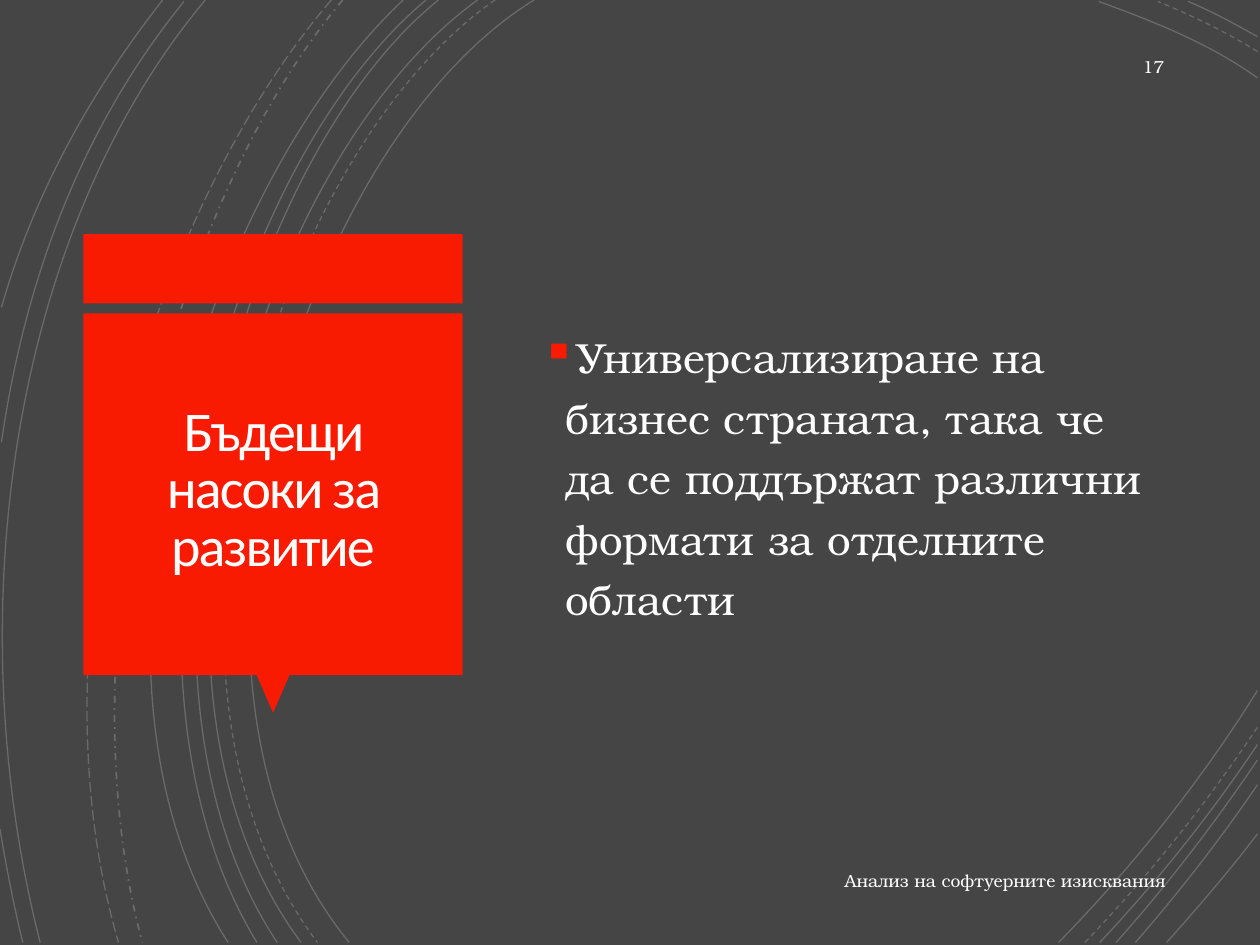
from dataclasses import dataclass

from lxml import etree
from pptx import Presentation
from pptx.dml.color import RGBColor
from pptx.enum.dml import MSO_LINE
from pptx.enum.shapes import MSO_SHAPE
from pptx.enum.text import MSO_ANCHOR, PP_ALIGN
from pptx.oxml.ns import qn
from pptx.util import Cm, Pt

SOLID, DASH, LONG_DASH, DASH_DOT = (
    MSO_LINE.SOLID, MSO_LINE.DASH, MSO_LINE.LONG_DASH, MSO_LINE.DASH_DOT)
RECT, TRIANGLE = MSO_SHAPE.RECTANGLE, MSO_SHAPE.ISOSCELES_TRIANGLE
LEFT, CENTER, RIGHT = PP_ALIGN.LEFT, PP_ALIGN.CENTER, PP_ALIGN.RIGHT
MIDDLE = MSO_ANCHOR.MIDDLE


@dataclass(frozen=True)
class Theme:
    background: RGBColor = RGBColor(0x45, 0x45, 0x45)
    accent: RGBColor = RGBColor(0xF8, 0x1B, 0x02)
    text: RGBColor = RGBColor(0xFF, 0xFF, 0xFF)
    title: RGBColor = RGBColor(0xFF, 0xFE, 0xFF)
    title_font: str = "Calibri"
    body_font: str = "TeX Gyre Bonum"
    title_size: int = 32
    body_size: int = 24
    small_size: int = 10
    arc_alpha: int = 20000


THEME = Theme()
WIDTH, HEIGHT = 25.4, 19.05

# Each arc: start, two control points, end (cm), then dash style
EDGE, BASE = 25.35, 19
LONG_ARCS = [((x0, 0, ax, ay, bx, by, x1, BASE), dash)
             for x0, ax, ay, bx, by, x1, dash in [
    (10.77, 5.99, 2.92, 2.72, 13.72, 7.04, SOLID),
    (9.98, 5.41, 3.18, 2.34, 13.64, 6.4, DASH),
    (9.63, 5.13, 3.23, 2.08, 13.64, 6.07, SOLID),
    (8.84, 4.65, 3.38, 2.08, 13.74, 5.59, SOLID),
    (8.59, 4.39, 3.51, 1.85, 13.54, 5.18, SOLID),
    (8.13, 4.14, 3.73, 1.02, 13.44, 4.6, SOLID),
    (6.91, 3.35, 4.22, 1.24, 12.93, 2.87, DASH_DOT),
    (6.68, 3, 4.29, 0.53, 12.67, 2.39, LONG_DASH),
    (4.14, 0.2, 4.7, -0.86, 12.45, 0.81, SOLID)]]
TOP_RIGHT_ARCS = [((EDGE, *points, 0.03), dash) for *points, dash in [
    (1.57, 24.36, 0.86, 23.19, 0.41, 22.15, SOLID),
    (1.04, 24.71, 0.64, 24, 0.3, 23.34, DASH),
    (0.74, 24.89, 0.48, 24.43, 0.23, 23.95, SOLID)]]
BOTTOM_RIGHT_ARCS = [((x0, BASE, ax, ay, bx, by, EDGE, y1), dash)
                     for x0, ax, ay, bx, by, y1, dash in [
    (21.34, 22.78, 17.53, 24.18, 15.8, 13.92, SOLID),
    (21.87, 23.09, 17.73, 24.28, 16.26, 14.66, DASH),
    (22.17, 23.29, 17.81, 24.38, 16.46, 15.01, SOLID),
    (22.5, 23.5, 17.88, 24.46, 16.64, 15.32, SOLID),
    (22.89, 23.75, 18.01, 24.59, 16.94, 15.82, SOLID),
    (23.52, 24.13, 18.31, 24.77, 17.58, 16.81, SOLID)]]
LEFT_ARCS = [
    ((3.71, 0.03, 1.75, 2.44, 0.53, 5.44, 0.03, 8.92), SOLID),
    ((0, 16.71, 0.13, 17.5, 0.28, 18.26, 0.46, BASE), SOLID),
    ((3.28, 0, 1.91, 1.75, 0.71, 3.81, 0.03, 6.2), SOLID)]


def add_arc(group, left, top, points, dash):
    xy = [(Cm(left + x), Cm(top + y)) for x, y in zip(points[::2], points[1::2])]
    builder = group.shapes.build_freeform(*xy[0])
    builder.add_line_segments(xy[1:], close=False)
    sp = builder.convert_to_shape()
    # Turn the three segments into one cubic curve
    segments = list(sp._element.iter(qn("a:lnTo")))
    outline = segments[0].getparent()
    curve = etree.SubElement(outline, qn("a:cubicBezTo"))
    for segment in segments:
        curve.append(segment[0])
        outline.remove(segment)
    sp.shadow.inherit = False
    sp.fill.background()
    sp.line.color.rgb = THEME.text
    sp.line.width = Pt(1 if dash == DASH_DOT else 0.75)
    sp.line.dash_style = dash
    color = next(sp.line._ln.iter(qn("a:srgbClr")))
    etree.SubElement(color, qn("a:alpha"), val=str(THEME.arc_alpha))


def add_arcs(slide, left, top):
    group = slide.shapes.add_group_shape()
    for points, dash in (LONG_ARCS + TOP_RIGHT_ARCS
                         + BOTTOM_RIGHT_ARCS + LEFT_ARCS):
        add_arc(group, left, top, points, dash)


def add_text(slide, box, text, font, para, margin=None):
    tf = slide.shapes.add_textbox(*map(Cm, box)).text_frame
    tf.word_wrap = True
    tf.vertical_anchor = MIDDLE
    if margin is not None:
        for side in ("left", "right", "top", "bottom"):
            setattr(tf, f"margin_{side}", Cm(margin))
    p = tf.paragraphs[0]
    for name, value in para.items():
        setattr(p, name, value)
    r = p.add_run()
    r.text = text
    color = font.pop("color", THEME.text)
    for name, value in font.items():
        setattr(r.font, name, value)
    r.font.color.rgb = color
    return p, r


def add_callout(slide, left, top, width, height, title):
    bar, gap, tip_w, tip_h = 1.4, 0.2, 0.66, 0.76
    panel_top = top + bar + gap
    panel = height - bar - gap - tip_h
    # Bar, pointer and panel
    group = slide.shapes.add_group_shape()
    for kind, x, y, w, h, turn in [
            (RECT, left, top, width, bar, 0),
            (TRIANGLE, left + (width - tip_w) / 2, panel_top + panel,
             tip_w, tip_h, 180),
            (RECT, left, panel_top, width, panel, 0)]:
        sp = group.shapes.add_shape(kind, Cm(x), Cm(y), Cm(w), Cm(h))
        sp.rotation = turn
        sp.shadow.inherit = False
        sp.fill.solid()
        sp.fill.fore_color.rgb = THEME.accent
        sp.line.fill.background()
    # Title
    pad = 0.18
    p, r = add_text(
        slide, (left + pad, panel_top + pad, width - 2 * pad, panel - 0.46), title,
        {"name": THEME.title_font, "size": Pt(THEME.title_size),
         "color": THEME.title},
        {"alignment": CENTER, "line_spacing": 0.85}, margin=0.64)
    r.font._element.set("spc", "-110")


def add_bullet(slide, box, text):
    p, r = add_text(
        slide, box, text,
        {"name": THEME.body_font, "size": Pt(THEME.body_size)},
        {"alignment": LEFT, "line_spacing": 1.2, "space_before": Pt(7.5)})
    ppr = p._p.get_or_add_pPr()
    ppr.set("marL", str(Cm(0.48)))
    ppr.set("indent", str(-Cm(0.48)))
    color = etree.SubElement(ppr, qn("a:buClr"))
    etree.SubElement(color, qn("a:srgbClr"), val=str(THEME.accent))
    etree.SubElement(ppr, qn("a:buSzPct"), val="110000")
    etree.SubElement(ppr, qn("a:buChar"), char="▪")


def add_small_text(slide, box, text):
    add_text(slide, box, text,
             {"name": THEME.body_font, "size": Pt(THEME.small_size)},
             {"alignment": RIGHT, "space_after": Pt(6)})


def build_slide(prs):
    slide = prs.slides.add_slide(prs.slide_layouts[6])
    slide.background.fill.solid()
    slide.background.fill.fore_color.rgb = THEME.background
    add_arcs(slide, 0, 0)
    add_small_text(slide, (21.82, 0.89, 1.9, 0.89), "17")
    add_callout(slide, 1.68, 4.72, 7.65, 9.65, "Бъдещи насоки за развитие")
    add_bullet(slide, (10.67, 2.24, 13.08, 14.58),
               "Универсализиране на бизнес страната, така че да се "
               "поддържат различни формати за отделните области")
    add_small_text(slide, (1.68, 17.3, 22.07, 0.89),
                   "Анализ на софтуерните изисквания")


prs = Presentation()
prs.slide_width, prs.slide_height = Cm(WIDTH), Cm(HEIGHT)
build_slide(prs)
prs.save("out.pptx")
